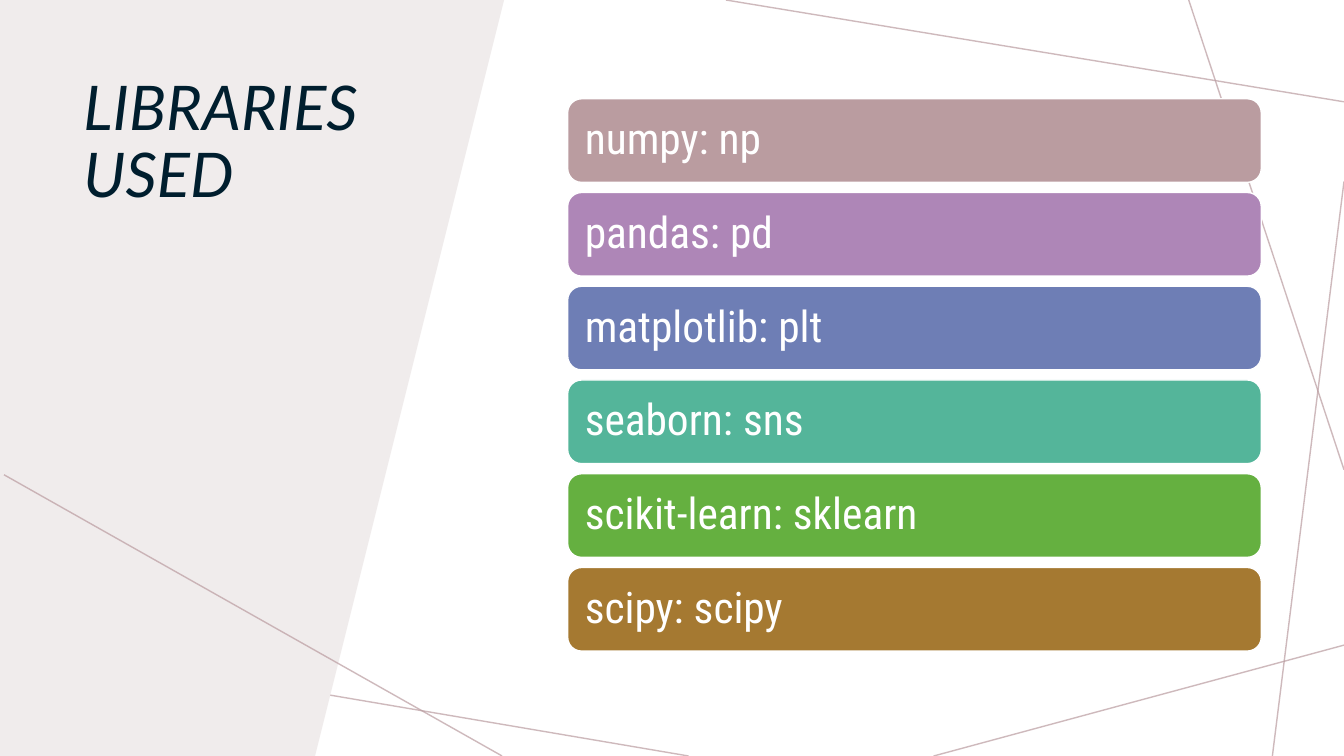
from lxml.etree import SubElement
from pptx import Presentation
from pptx.dml.color import RGBColor
from pptx.enum.shapes import MSO_CONNECTOR, MSO_SHAPE
from pptx.enum.text import MSO_ANCHOR
from pptx.oxml.ns import qn
from pptx.util import Inches, Pt

WHITE, ROSE, PALE, NAVY = "FFFFFF", "BA9CA0", "F0ECEC", "001E2E"

# Accent lines: x1, y1, x2, y2
BACK_LINES = [
    (6.83, 7.5, 0, 6.34),
    (13.33, 6.4, 9.26, 7.5),
    (13.33, 1.8, 12.62, 7.5),
    (13.33, 4.66, 11.79, 0),
    (13.33, 1.01, 7.2, 0),
]
FRONT_LINE = (0.04, 4.71, 4.98, 7.5)

LIBRARIES = [
    ("numpy: np", ROSE),
    ("pandas: pd", "AE86B7"),
    ("matplotlib: plt", "6E7EB5"),
    ("seaborn: sns", "54B59A"),
    ("scikit-learn: sklearn", "65B040"),
    ("scipy: scipy", "A57931"),
]
BAR_LEFT, BAR_TOP, BAR_WIDTH, BAR_HEIGHT, BAR_STEP = 5.63, 0.98, 6.88, 0.83, 0.93

TITLE_FONT = {"name": "Lato", "size": Pt(44), "italic": True}
BAR_FONT = {"name": "Roboto Condensed", "size": Pt(31)}


def rgb(value):
    return RGBColor.from_string(value)


def set_fill(sp, color):
    sp.fill.solid()
    sp.fill.fore_color.rgb = rgb(color)
    sp.shadow.inherit = False


def set_text(tf, text, font, color):
    tf.word_wrap = True
    p = tf.paragraphs[0]
    p.line_spacing = 0.9
    r = p.add_run()
    r.text = text
    for name, value in font.items():
        setattr(r.font, name, value)
    r.font.color.rgb = rgb(color)


def add_accent_line(s, x1, y1, x2, y2):
    ln = s.shapes.add_connector(
        MSO_CONNECTOR.STRAIGHT, Inches(x1), Inches(y1), Inches(x2), Inches(y2))
    ln.line.width = Pt(1)
    ln.line.color.rgb = rgb(ROSE)
    # 70% opacity and no shadow
    sp_pr = ln._element.spPr
    color = sp_pr.find(".//" + qn("a:srgbClr"))
    SubElement(color, qn("a:alpha")).set("val", "70000")
    SubElement(sp_pr, qn("a:effectLst"))


def add_side_panel(s):
    builder = s.shapes.build_freeform(0, 0, scale=Inches(1))
    builder.add_line_segments([(5.3, 0), (3.13, 7.5), (0, 7.5)], close=True)
    sp = builder.convert_to_shape()
    set_fill(sp, PALE)
    sp.line.fill.background()


def add_title(s, text):
    sp = s.shapes.add_textbox(Inches(0.73), Inches(0.72), Inches(3.53), Inches(3.9))
    set_text(sp.text_frame, text, TITLE_FONT, NAVY)


def add_library_bar(s, top, text, color):
    sp = s.shapes.add_shape(
        MSO_SHAPE.ROUNDED_RECTANGLE,
        Inches(BAR_LEFT), Inches(top), Inches(BAR_WIDTH), Inches(BAR_HEIGHT))
    set_fill(sp, color)
    sp.line.color.rgb = rgb(WHITE)
    sp.line.width = Pt(1)
    tf = sp.text_frame
    tf.vertical_anchor = MSO_ANCHOR.MIDDLE
    for side in ("left", "right", "top", "bottom"):
        setattr(tf, f"margin_{side}", Inches(0.13))
    set_text(tf, text, BAR_FONT, WHITE)
    tf.paragraphs[0].alignment = 1  # left


def main():
    prs = Presentation()
    prs.slide_width, prs.slide_height = Inches(13.33), Inches(7.5)
    s = prs.slides.add_slide(prs.slide_layouts[6])

    # Background
    for points in BACK_LINES:
        add_accent_line(s, *points)
    add_side_panel(s)

    # Title
    add_title(s, "LIBRARIES USED")
    add_accent_line(s, *FRONT_LINE)

    # Library list
    for i, (text, color) in enumerate(LIBRARIES):
        add_library_bar(s, BAR_TOP + i * BAR_STEP, text, color)

    prs.save("out.pptx")


if __name__ == "__main__":
    main()
